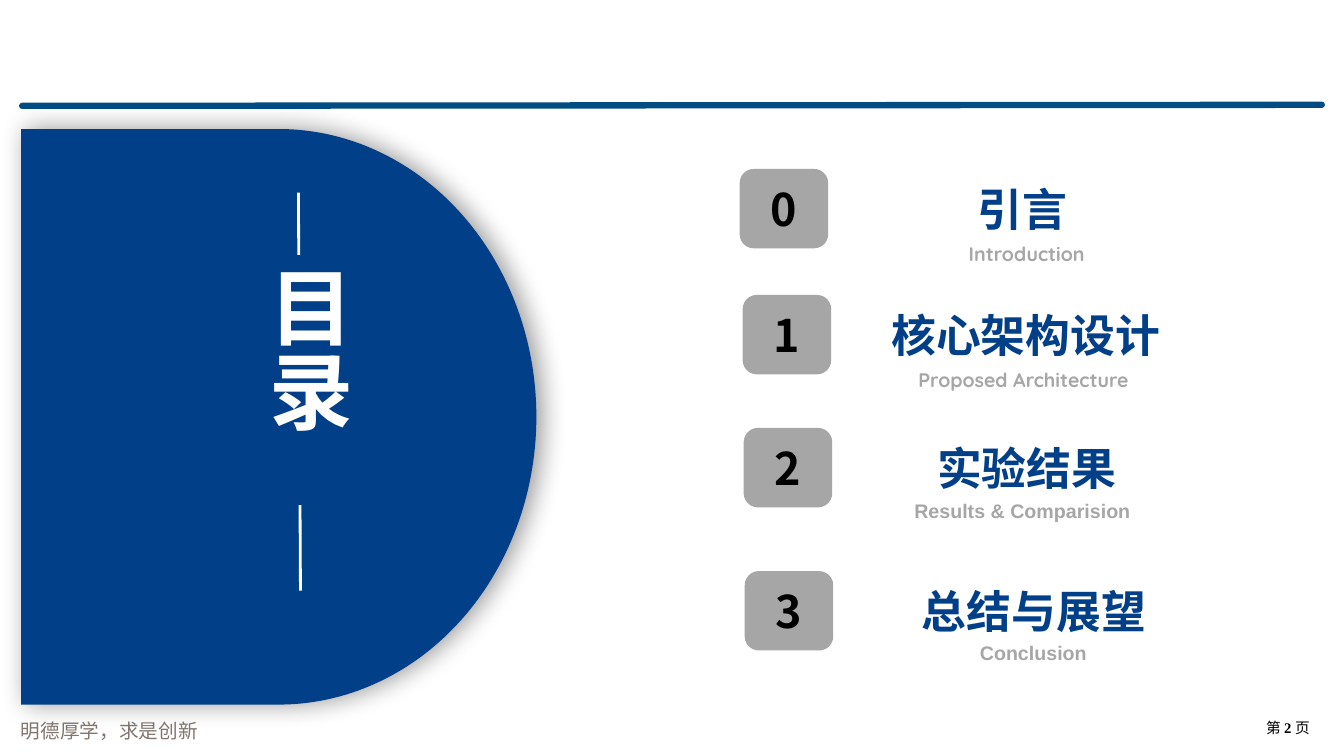
"""Build the contents slide of a presentation."""
from dataclasses import dataclass

from lxml import etree
from pptx import Presentation
from pptx.dml.color import RGBColor
from pptx.enum.shapes import MSO_CONNECTOR, MSO_SHAPE
from pptx.enum.text import MSO_ANCHOR, MSO_AUTO_SIZE, PP_ALIGN
from pptx.oxml import parse_xml
from pptx.oxml.ns import nsdecls, qn
from pptx.util import Inches, Pt

STRAIGHT = MSO_CONNECTOR.STRAIGHT
ROUNDED = MSO_SHAPE.ROUNDED_RECTANGLE
DELAY = MSO_SHAPE.FLOWCHART_DELAY
MIDDLE, TOP = MSO_ANCHOR.MIDDLE, MSO_ANCHOR.TOP
NO_RESIZE = MSO_AUTO_SIZE.NONE
LEFT, CENTER, JUSTIFY = PP_ALIGN.LEFT, PP_ALIGN.CENTER, PP_ALIGN.JUSTIFY

NAVY = RGBColor(0x01, 0x3F, 0x88)
RULE_BLUE = RGBColor(0x00, 0x4C, 0x83)
GRAY = RGBColor(0xA6, 0xA6, 0xA6)
TAUPE = RGBColor(0x81, 0x75, 0x6F)
BLACK = RGBColor(0, 0, 0)
WHITE = RGBColor(0xFF, 0xFF, 0xFF)

CHINESE = "Noto Sans CJK SC"
ROUNDED_LATIN = "Quicksand"
SANS = "Arial"
SERIF = "Times New Roman"

TILE_WIDTH, HEADING_WIDTH, ROW_HEIGHT = 0.85, 4.03, 0.76


@dataclass(frozen=True)
class Run:
    """A piece of text with its format."""
    text: str
    size: float
    color: RGBColor
    font: str = CHINESE
    bold: bool = False


@dataclass(frozen=True)
class Section:
    """One numbered row of the contents."""
    heading: str
    tile_left: float
    heading_left: float
    top: float
    subtitle: str
    subtitle_font: str
    subtitle_box: tuple[float, float, float, float]


SECTIONS = (
    Section("引言", 7.35, 8.13, 1.69, "Introduction", ROUNDED_LATIN, (9.51, 2.35, 1.76, 0.32)),
    Section("核心架构设计", 7.38, 8.16, 2.94, "Proposed Architecture", ROUNDED_LATIN,
            (9.01, 3.6, 3.18, 0.32)),
    Section("实验结果", 7.39, 8.17, 4.26, "Results & Comparision", SANS, (8.97, 4.9, 3.43, 0.42)),
    Section("总结与展望", 7.4, 8.24, 5.68, "Conclusion", SANS, (9.62, 6.31, 3.09, 0.42)),
)


def write_runs(shape, runs: list[Run], alignment=LEFT) -> None:
    """Write the runs into the first paragraph of a shape."""
    shape.text_frame.word_wrap = True
    paragraph = shape.text_frame.paragraphs[0]
    paragraph.alignment = alignment
    for item in runs:
        run = paragraph.add_run()
        run.text = item.text
        run.font.size = Pt(item.size)
        run.font.bold = item.bold
        run.font.color.rgb = item.color
        run.font.name = item.font
        east_asian = etree.SubElement(run.font._element, qn("a:ea"))
        east_asian.set("typeface", item.font)


def add_text(slide, box: tuple[float, float, float, float], runs: list[Run]) -> None:
    """Add a text box."""
    write_runs(slide.shapes.add_textbox(*map(Inches, box)), runs)


def add_line(slide, start: tuple[float, float], end: tuple[float, float],
             color: RGBColor, width: float):
    """Add a straight line without shadow."""
    line = slide.shapes.add_connector(STRAIGHT, *map(Inches, start + end))
    line.line.color.rgb = color
    line.line.width = Pt(width)
    etree.SubElement(line._element.spPr, qn("a:effectLst"))
    return line


def add_panel(slide) -> None:
    """Add the blue panel with its soft shadow."""
    panel = slide.shapes.add_shape(DELAY, *map(Inches, (0.21, 1.28, 5.11, 5.71)))
    panel.fill.solid()
    panel.fill.fore_color.rgb = NAVY
    panel.line.fill.background()
    panel._element.spPr.append(parse_xml(
        f'<a:effectLst {nsdecls("a")}>'
        f'<a:outerShdw blurRad="{Pt(18)}" dist="{Pt(4)}" dir="0" algn="l" rotWithShape="0">'
        '<a:srgbClr val="000000"><a:alpha val="40000"/></a:srgbClr>'
        '</a:outerShdw></a:effectLst>'))


def add_label(slide, left: float, top: float, width: float, run: Run, filled: bool) -> None:
    """Add a rounded rectangle with centred text."""
    label = slide.shapes.add_shape(ROUNDED, *map(Inches, (left, top, width, ROW_HEIGHT)))
    label.shadow.inherit = False
    if filled:
        label.fill.solid()
        label.fill.fore_color.rgb = GRAY
        label.line.color.rgb = GRAY
        label.line.width = Pt(2)
    else:
        label.fill.background()
        label.line.fill.background()
    label.text_frame.vertical_anchor = MIDDLE
    write_runs(label, [run], CENTER)


def add_section(slide, number: int, section: Section) -> None:
    """Add the number, heading and subtitle of a section."""
    add_label(slide, section.tile_left, section.top, TILE_WIDTH,
              Run(str(number), 32, BLACK, bold=True), True)
    add_label(slide, section.heading_left, section.top, HEADING_WIDTH,
              Run(section.heading, 32, NAVY, bold=True), False)
    add_text(slide, section.subtitle_box,
             [Run(section.subtitle, 14, GRAY, section.subtitle_font, True)])


def format_title(title) -> None:
    """Place the vertical title over the panel."""
    title.left, title.top, title.width, title.height = map(Inches, (2.4, 2.53, 1.21, 2.48))
    title.fill.solid()
    title.fill.fore_color.rgb = NAVY
    frame = title.text_frame
    frame.auto_size = NO_RESIZE
    frame.vertical_anchor = TOP
    frame.margin_left = frame.margin_right = Inches(0.05)
    frame.margin_top = frame.margin_bottom = Inches(0.1)
    frame._txBody.bodyPr.set("vert", "eaVert")
    write_runs(title, [Run("目录", 60, WHITE, bold=True)], JUSTIFY)


def main() -> None:
    """Build and save the presentation."""
    presentation = Presentation()
    presentation.slide_width = Inches(13.33)
    presentation.slide_height = Inches(7.5)
    slide = presentation.slides.add_slide(presentation.slide_layouts[5])

    add_text(slide, (0.11, 7.08, 2.95, 0.34), [Run("明德厚学，求是创新", 14, TAUPE)])
    rule = add_line(slide, (0.22, 1.05), (13.11, 1.04), RULE_BLUE, 4.5)
    rule.line._ln.set("cap", "rnd")
    add_text(slide, (12.46, 7.08, 0.77, 0.28), [
        Run("第 ", 10.5, BLACK),
        Run("2 ", 10.5, BLACK, SERIF, True),
        Run("页", 10.5, BLACK),
    ])

    add_panel(slide)
    divider = add_line(slide, (2.96, 1.91), (2.98, 5.86), WHITE, 2)
    title = slide.shapes.title
    format_title(title)
    divider._element.addnext(title._element)

    for number, section in enumerate(SECTIONS):
        add_section(slide, number, section)
    presentation.save("out.pptx")


if __name__ == "__main__":
    main()
